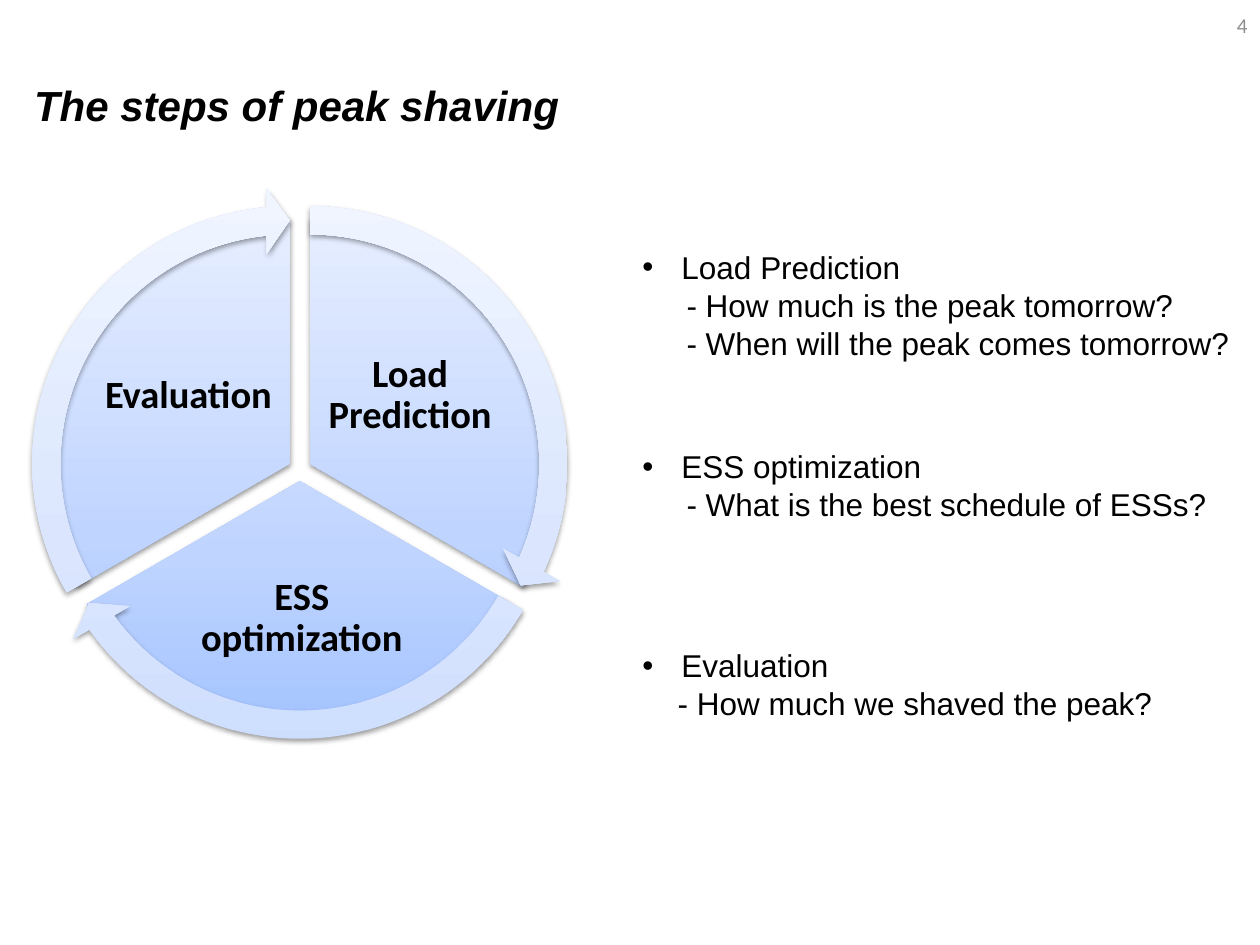
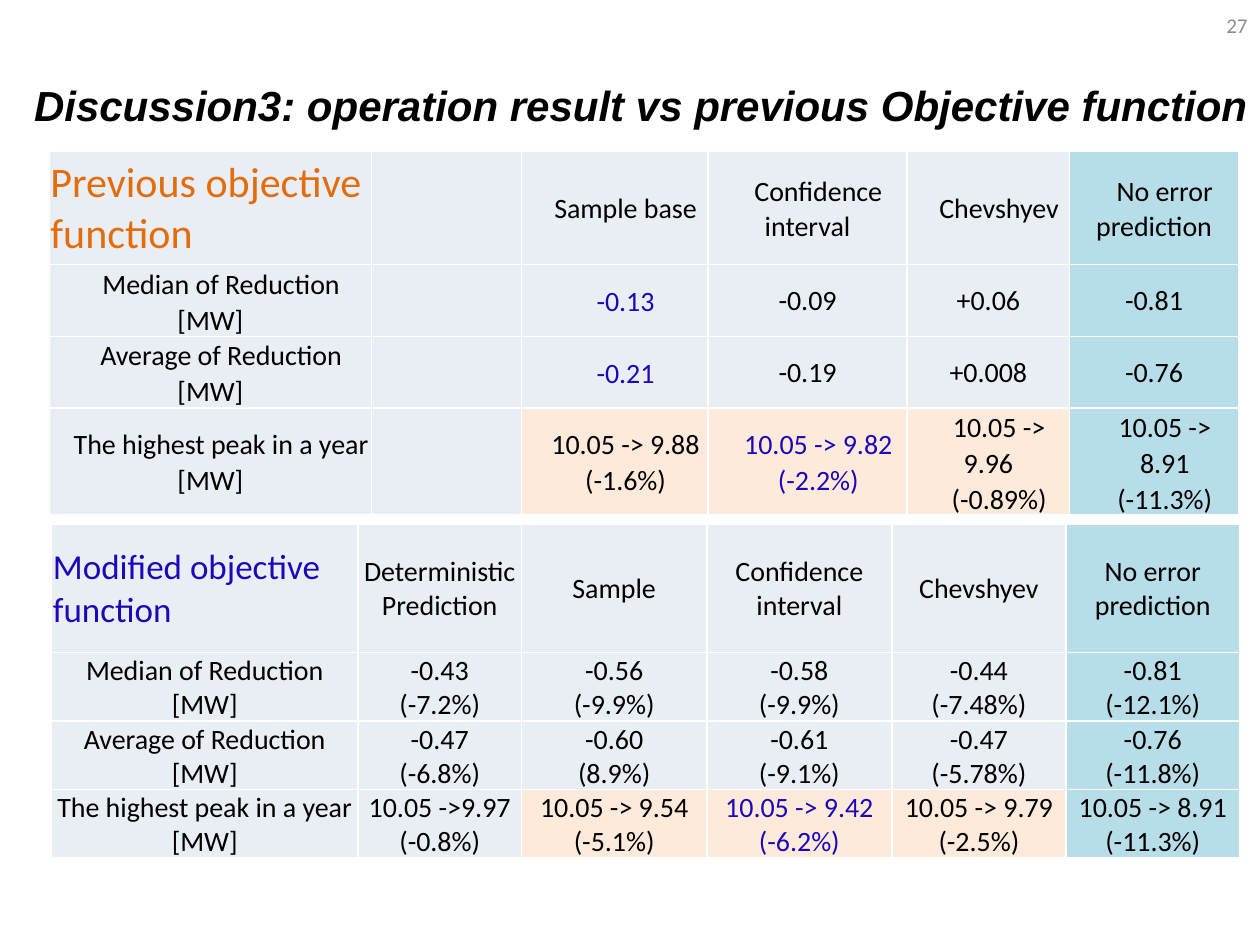
import math

import pptx
import pptx.dml.color
import pptx.enum.shapes
import pptx.enum.text
import pptx.oxml
import pptx.oxml.ns
import pptx.util
from lxml import etree

RGB = pptx.dml.color.RGBColor
ALIGN = pptx.enum.text.PP_ALIGN
ANCHOR = pptx.enum.text.MSO_ANCHOR
SHAPE = pptx.enum.shapes.MSO_SHAPE
Inches, Pt = pptx.util.Inches, pptx.util.Pt

# Shared colours
BLACK = RGB(0x00, 0x00, 0x00)
WHITE = RGB(0xFF, 0xFF, 0xFF)
GREY = RGB(0x8C, 0x8C, 0x8C)
BLUE = RGB(0x1C, 0x07, 0xB9)
ORANGE = RGB(0xE4, 0x6C, 0x0A)
CELL = RGB(0xE9, 0xED, 0xF4)
PEACH = RGB(0xFD, 0xEA, 0xDA)
AQUA = RGB(0xB7, 0xDE, 0xE8)
SECTOR_STOPS = {0: RGB(0xA4, 0xC4, 0xFF), 35: RGB(0xBF, 0xD4, 0xFF), 100: RGB(0xE6, 0xEE, 0xFF)}
ARROW_STOPS = {0: RGB(0xCD, 0xDD, 0xFE), 35: RGB(0xDB, 0xE6, 0xFE), 100: RGB(0xF0, 0xF5, 0xFF)}

# Text formats
TITLE = dict(name="Arial", size=Pt(24), bold=True, italic=True, color=BLACK)
BODY = dict(name="Arial", size=Pt(18), color=BLACK)
LABEL = dict(name="Calibri", size=Pt(22), bold=True, color=BLACK)
NUMBER = dict(name="Calibri", size=Pt(12), color=GREY)
VALUE = dict(name="Calibri", size=Pt(16), color=BLACK)

# The slide is a grid of 100 columns by 75 rows
UNIT = Inches(0.1)
COLS, ROWS = 100, 75


def grid(*cells):
    return [round(n * UNIT) for n in cells]


def add_xml(parent, xml):
    parent.append(pptx.oxml.parse_xml(xml))


def ns_tag(tag, inner="", attrs=""):
    return f'<a:{tag} {pptx.oxml.ns.nsdecls("a")} {attrs}>{inner}</a:{tag}>'


def style_run(r, fmt):
    for key, value in fmt.items():
        if key == "color":
            r.font.color.rgb = value
        else:
            setattr(r.font, key, value)


def write(tf, lines, fmt, align=ALIGN.LEFT, spacing=None, anchor=ANCHOR.TOP, margins=None):
    tf.word_wrap = True
    tf.vertical_anchor = anchor
    if margins is not None:
        tf.margin_left = tf.margin_right = tf.margin_top = tf.margin_bottom = Inches(margins)
    tf.text = "\n".join(lines)
    for p in tf.paragraphs:
        p.alignment = align
        if spacing:
            p.line_spacing = spacing
        for r in p.runs:
            style_run(r, fmt)


def indent(p, left, first):
    pPr = p._p.get_or_add_pPr()
    pPr.set("marL", str(Inches(left)))
    pPr.set("indent", str(Inches(first)))
    return pPr


def add_text(s, place, lines, fmt, **layout):
    tf = s.shapes.add_textbox(*grid(*place)).text_frame
    write(tf, lines, fmt, **layout)
    return tf


def add_slide(prs, title, number):
    s = prs.slides.add_slide(prs.slide_layouts[5])
    sp = s.shapes.title
    sp.left, sp.top, sp.width, sp.height = grid(1.7, 5.8, 99.2, 5)
    sp.text_frame.auto_size = pptx.enum.text.MSO_AUTO_SIZE.NONE
    write(sp.text_frame, [title], TITLE)
    add_text(s, (76.7, 0, 23.3, 4), [number], NUMBER, align=ALIGN.RIGHT, anchor=ANCHOR.MIDDLE)
    return s


# Cycle wheel
def add_wheel_part(s, kind, centre, size, adjustments, stops):
    x, y = centre
    sp = s.shapes.add_shape(kind, *grid(x - size / 2, y - size / 2, size, size))
    for i, value in enumerate(adjustments):
        sp.adjustments[i] = value
    sp.line.fill.background()
    gs = "".join(f'<a:gs pos="{pos * 1000}"><a:srgbClr val="{rgb}"/></a:gs>' for pos, rgb in stops.items())
    gradient = pptx.oxml.parse_xml(ns_tag(
        "gradFill", f'<a:gsLst>{gs}</a:gsLst><a:lin ang="16200000" scaled="0"/>', 'rotWithShape="1"'))
    sp._element.spPr.find(pptx.oxml.ns.qn("a:prstGeom")).addnext(gradient)
    sp.shadow.inherit = False
    effects = sp._element.spPr.find(pptx.oxml.ns.qn("a:effectLst"))
    add_xml(effects, ns_tag(
        "outerShdw", '<a:srgbClr val="000000"><a:alpha val="38000"/></a:srgbClr>',
        f'blurRad="{Pt(3.1)}" dist="{Pt(1.6)}" dir="5400000" rotWithShape="0"'))


def add_wheel(s, labels):
    x, y, gap = 23.8, 37.27, 0.93
    per_degree = 0.6
    sweep = 360 / len(labels)
    sectors = []
    for i in range(len(labels)):
        start, end = (270 + i * sweep) % 360, (270 + (i + 1) * sweep) % 360
        middle = math.radians(start + sweep / 2)
        centre = (x + gap * math.cos(middle), y + gap * math.sin(middle))
        sectors.append((centre, start * per_degree, end * per_degree))
    for (centre, start, end), (text, place) in zip(sectors, labels):
        add_wheel_part(s, SHAPE.PIE, centre, 39, (start, end), SECTOR_STOPS)
        add_text(s, place, [text], LABEL, align=ALIGN.CENTER, spacing=0.9,
                 anchor=ANCHOR.MIDDLE, margins=0.03)
    for centre, start, end in sectors:
        add_wheel_part(s, SHAPE.CIRCULAR_ARROW, centre, 43.8,
                       (0.051, 3.275, end - 3.275, start, 0.059), ARROW_STOPS)


def add_step(s, row, name, questions, question_indent):
    tf = add_text(s, (50, row, 49.5, 3.9 + 3 * len(questions)), [name, *questions], BODY)
    head, *rest = tf.paragraphs
    pPr = indent(head, 0.31, -0.31)
    add_xml(pPr, ns_tag("buFont", attrs='typeface="Arial"'))
    add_xml(pPr, ns_tag("buChar", attrs='char="•"'))
    for p in rest:
        indent(p, question_indent, 0)


# Result tables
def add_borders(cell):
    tcPr = cell._tc.get_or_add_tcPr()
    for side in ("lnL", "lnR", "lnT", "lnB"):
        add_xml(tcPr, ns_tag(
            side, f'<a:solidFill><a:srgbClr val="{WHITE}"/></a:solidFill>', f'w="{Pt(1)}"'))


def cell_fill(row, col, last_row, last_col):
    if col == last_col:
        return AQUA
    return PEACH if row == last_row and col >= 2 else CELL


def add_results(s, left, top, widths, heights, rows, heading, blue, indented):
    """indented(row, col) tells which cells have a first-line indent and wider lines."""
    frame = s.shapes.add_table(len(rows), len(widths), *grid(left, top, sum(widths), sum(heights)))
    table = frame.table
    table.first_row = table.horz_banding = False
    for lines, sizes, attr in ((table.columns, widths, "width"), (table.rows, heights, "height")):
        for line, size in zip(lines, grid(*sizes)):
            setattr(line, attr, size)
    for i, row in enumerate(rows):
        for j, text in enumerate(row):
            cell = table.cell(i, j)
            add_borders(cell)
            cell.fill.solid()
            cell.fill.fore_color.rgb = cell_fill(i, j, len(rows) - 1, len(row) - 1)
            if not text:
                continue
            cell.vertical_anchor = ANCHOR.MIDDLE
            cell.margin_left = cell.margin_right = cell.margin_top = Inches(0.01)
            cell.margin_bottom = 0
            is_heading = (i, j) == (0, 0)
            fmt = VALUE | (heading if is_heading else {"color": BLUE} if (i, j) in blue else {})
            cell.text = text
            for p in cell.text_frame.paragraphs:
                p.alignment = ALIGN.LEFT if is_heading else ALIGN.CENTER
                if not is_heading and indented(i, j):
                    p.line_spacing = 1.05
                    indent(p, 0, 0.17)
                for r in p.runs:
                    style_run(r, fmt)


ROW_NAMES = ("Median of Reduction [MW]", "Average of Reduction [MW]", "The highest peak in a year [MW]")

PREVIOUS = [
    ("Previous objective function", "", "Sample base", "Confidence interval", "Chevshyev", "No error prediction"),
    (ROW_NAMES[0], "", "-0.13", "-0.09", "+0.06", "-0.81"),
    (ROW_NAMES[1], "", "-0.21", "-0.19", "+0.008", "-0.76"),
    (ROW_NAMES[2], "", "10.05 -> 9.88\n(-1.6%)", "10.05 -> 9.82\n(-2.2%)",
     "10.05 -> 9.96\n(-0.89%)", "10.05 ->\n8.91\n(-11.3%)"),
]
MODIFIED = [
    ("Modified objective function", "Deterministic\nPrediction", "Sample", "Confidence interval",
     "Chevshyev", "No error prediction"),
    (ROW_NAMES[0], "-0.43\n(-7.2%)", "-0.56\n(-9.9%)", "-0.58\n(-9.9%)", "-0.44\n(-7.48%)", "-0.81\n(-12.1%)"),
    (ROW_NAMES[1], "-0.47\n(-6.8%)", "-0.60\n(8.9%)", "-0.61\n(-9.1%)", "-0.47\n(-5.78%)", "-0.76\n(-11.8%)"),
    (ROW_NAMES[2], "10.05 ->9.97\n(-0.8%)", "10.05 -> 9.54\n(-5.1%)", "10.05 -> 9.42\n(-6.2%)",
     "10.05 -> 9.79\n(-2.5%)", "10.05 -> 8.91\n(-11.3%)"),
]


def main():
    prs = pptx.Presentation()
    prs.slide_width, prs.slide_height = grid(COLS, ROWS)

    # Steps
    s = add_slide(prs, "The steps of peak shaving", "4")
    add_wheel(s, [
        ("Load Prediction", (25.6, 25.6, 13.9, 11.6)),
        ("ESS optimization", (13.5, 44, 20.9, 10.2)),
        ("Evaluation", (8, 25.6, 13.9, 11.6)),
    ])
    steps = [
        ("Load Prediction", ["- How much is the peak tomorrow?", "- When will the peak comes tomorrow?"], 0.35),
        ("ESS optimization", ["- What is the best schedule of ESSs?"], 0.35),
        ("Evaluation", ["- How much we shaved the peak?"], 0.28),
    ]
    for i, step in enumerate(steps):
        add_step(s, 19.2 + i * 15.8, *step)

    # Comparison of objective functions
    s = add_slide(prs, "Discussion3: operation result vs previous Objective function", "27")
    add_results(s, 3.9, 12, (25.6, 11.9, 14.8, 15.8, 12.9, 13.4), (9, 4.5, 4.5, 6.7), PREVIOUS,
                dict(size=Pt(24), color=ORANGE), {(1, 2), (2, 2), (3, 3)},
                lambda row, col: row in (0, 3) or col < 3)
    add_results(s, 4.1, 41.6, (24.3, 13, 14.7, 14.7, 13.8, 13.8), (10.2, 5.2, 5.2, 5.2), MODIFIED,
                dict(size=Pt(20), color=BLUE), {(3, 3)}, lambda row, col: False)

    prs.save("out.pptx")


if __name__ == "__main__":
    main()
